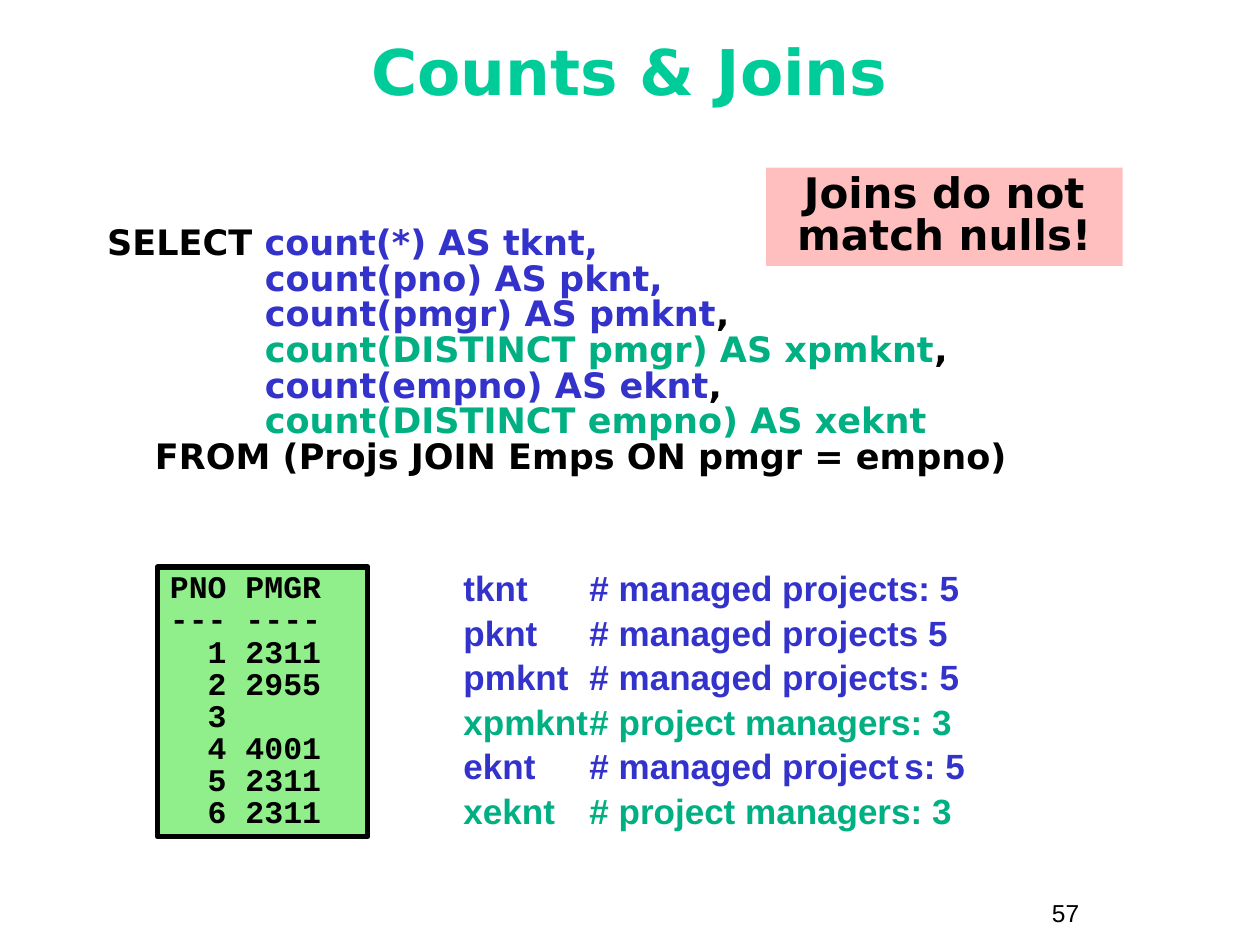
from dataclasses import dataclass

from lxml import etree
from pptx import Presentation
from pptx.dml.color import RGBColor
from pptx.enum import shapes, text
from pptx.oxml import ns
from pptx.util import Inches, Pt

BLACK, BLUE, GREEN = "000000", "3333CC", "00B082"
SANS = "DejaVu Sans"


@dataclass
class Span:
    words: str
    color: str = BLACK


@dataclass
class Box:
    left: float
    top: float
    width: float
    height: float

    def size(self) -> tuple:
        return tuple(map(Inches, (self.left, self.top, self.width, self.height)))


@dataclass
class Count:
    """An SQL count: its expression, alias, meaning and text colour."""
    code: str
    name: str
    note: str
    color: str = BLUE
    end: str = BLACK


COUNTS = [
    Count("count(*)", "tknt", "# managed projects: 5", end=BLUE),
    Count("count(pno)", "pknt", "# managed projects 5", end=BLUE),
    Count("count(pmgr)", "pmknt", "# managed projects: 5"),
    Count("count(DISTINCT pmgr)", "xpmknt", "# project managers: 3", GREEN),
    Count("count(empno)", "eknt", "# managed project\ts: 5"),
    Count("count(DISTINCT empno)", "xeknt", "# project managers: 3", GREEN),
]
ROWS = ["PNO PMGR", "--- ----", "  1 2311", "  2 2955", "  3",
        "  4 4001", "  5 2311", "  6 2311"]


def paint(form, color: str) -> None:
    form.rgb = RGBColor.from_string(color)


def add_marks(para, tabs: list, hang: float) -> None:
    """Turn off bullets, then set the hanging indent and tab stops."""
    props = para._p.get_or_add_pPr()
    props.set("marL", str(Inches(hang)))
    props.set("indent", str(-Inches(hang)))
    etree.SubElement(props, ns.qn("a:buNone"))
    if tabs:
        stops = etree.SubElement(props, ns.qn("a:tabLst"))
        for stop in tabs:
            etree.SubElement(stops, ns.qn("a:tab"), pos=str(Inches(stop)), algn="l")


def add_break(para, size: float) -> None:
    """Break the line at the text size, so the line height stays even."""
    para.add_line_break()
    etree.SubElement(para._p[-1], ns.qn("a:rPr"), sz=str(int(size * 100)))


def write(shape, paras: list, *, font: str, size: float, bold: bool = True,
          align=text.PP_ALIGN.LEFT, pitch: float = 0.85, gap: float = 0,
          hang: float = 0, tabs: list = (), anchor=text.MSO_ANCHOR.TOP) -> None:
    """Fill a shape with paragraphs of spans; a newline span breaks the line."""
    frame = shape.text_frame
    frame.auto_size = text.MSO_AUTO_SIZE.NONE
    frame.word_wrap = True
    frame.vertical_anchor = anchor
    for i, spans in enumerate(paras):
        para = frame.add_paragraph() if i else frame.paragraphs[0]
        add_marks(para, tabs, hang)
        para.alignment = align
        para.line_spacing = pitch
        para.space_before = Pt(gap if i else 0)
        for span in spans:
            if span.words == "\n":
                add_break(para, size)
                continue
            run = para.add_run()
            run.text = span.words
            run.font.name, run.font.size, run.font.bold = font, Pt(size), bold
            paint(run.font.color, span.color)


def add_panel(slide, box: Box, fill: str, edge: float = 0):
    panel = slide.shapes.add_shape(shapes.MSO_SHAPE.RECTANGLE, *box.size())
    panel.shadow.inherit = False
    panel.fill.solid()
    paint(panel.fill.fore_color, fill)
    if edge:
        panel.line.width = Pt(edge)
        paint(panel.line.color, BLACK)
    else:
        panel.line.fill.background()
    return panel


def place(shape, box: Box):
    shape.left, shape.top, shape.width, shape.height = box.size()
    return shape


def make_query() -> list:
    spans = [Span("SELECT ")]
    for i, item in enumerate(COUNTS):
        if i:
            spans += [Span(",", COUNTS[i - 1].end), Span("\n"), Span(" " * 9)]
        spans.append(Span(f"{item.code} AS {item.name}", item.color))
    return spans + [Span("\n"), Span("FROM (Projs JOIN Emps ON pmgr = empno)")]


def main() -> None:
    deck = Presentation()
    deck.slide_width, deck.slide_height = Inches(10), Inches(7.5)
    slide = deck.slides.add_slide(deck.slide_layouts[1])

    title = place(slide.shapes.title, Box(0.33, 0.1, 9.33, 0.92))
    write(title, [[Span("Counts & Joins", "00CC99")]], font=SANS, size=36,
          align=text.PP_ALIGN.CENTER, pitch=1, anchor=text.MSO_ANCHOR.MIDDLE)

    query = place(slide.placeholders[1], Box(0.75, 1.75, 8.42, 2.09))
    write(query, [make_query()], font=SANS, size=20, hang=0.38)

    # Tab stops hold in a text box, not in the body placeholder.
    legend = slide.shapes.add_textbox(*Box(3.58, 4.5, 4.92, 2.15).size())
    notes = [[Span(f"{item.name}\t{item.note}", item.color)] for item in COUNTS]
    write(legend, notes, font="Arial", size=20, gap=5, tabs=[0, 1.5, 2, 3, 4])

    table = add_panel(slide, Box(1.25, 4.5, 1.67, 2.14), "90EF8B", edge=3)
    write(table, [[Span(row)] for row in ROWS], font="Courier New", size=18)

    callout = add_panel(slide, Box(6.08, 1.33, 2.83, 0.78), "FFBFBF")
    write(callout, [[Span("Joins do not match nulls!")]], font=SANS, size=24,
          align=text.PP_ALIGN.CENTER)

    number = slide.shapes.add_textbox(*Box(8.25, 7.08, 0.92, 0.34).size())
    write(number, [[Span("57")]], font="Arial", size=14, bold=False, pitch=1)

    deck.save("out.pptx")


if __name__ == "__main__":
    main()
